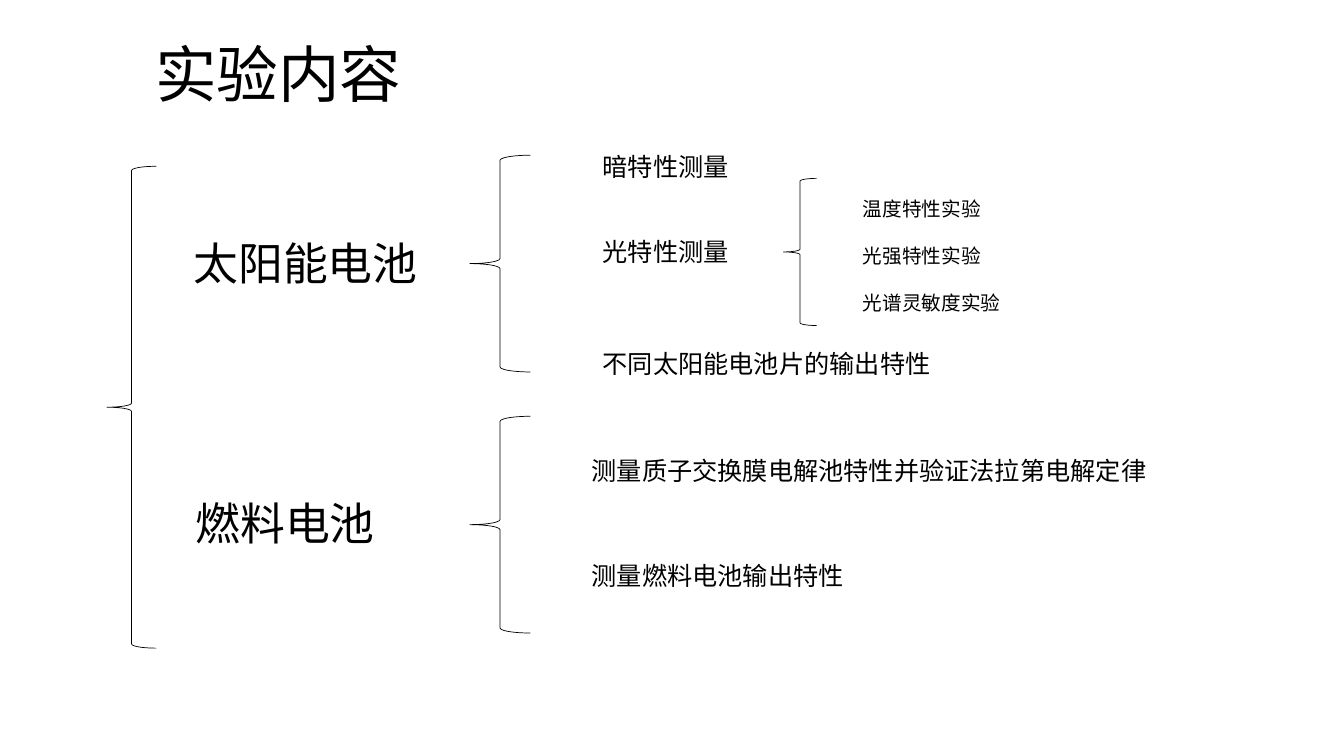
from lxml import etree
from pptx import Presentation
from pptx.dml.color import RGBColor
from pptx.enum.shapes import MSO_SHAPE as Shape
from pptx.enum.text import MSO_ANCHOR as Anchor
from pptx.oxml.ns import qn
from pptx.util import Inches, Pt

BLACK = RGBColor(0, 0, 0)
SANS, SERIF = "Noto Sans CJK SC", "Times New Roman"
TITLE_SIZE, TOPIC_SIZE, TASK_SIZE, DETAIL_SIZE = 44, 32, 18, 14
DETAIL_GAP = 17

TITLE = "实验内容"
# Each topic: name, (left, top), top of its brace, left of its tasks,
# then tasks as (text, top, width, font)
TOPICS = [
    ("太阳能电池", (1.82, 2.29), 1.54, 5.88, [
        ("暗特性测量", 1.45, 2.22, SANS),
        ("光特性测量", 2.3, 2.22, SANS),
        ("不同太阳能电池片的输出特性", 3.41, 3.66, SERIF),
    ]),
    ("燃料电池", (1.84, 4.87), 4.13, 5.77, [
        ("测量质子交换膜电解池特性并验证法拉第电解定律", 4.47, 5.92, SERIF),
        ("测量燃料电池输出特性", 5.51, 5.92, SERIF),
    ]),
]
LIGHT_DETAILS = ["温度特性实验", "光强特性实验", "光谱灵敏度实验"]

prs = Presentation()
prs.slide_width, prs.slide_height = Inches(13.33), Inches(7.5)
slide = prs.slides.add_slide(prs.slide_layouts[6])


def add_text(lines, left, top, width, height, size, font=SANS, gap=0):
    """Add one paragraph per line, with gap points between them."""
    box = slide.shapes.add_textbox(*map(Inches, (left, top, width, height)))
    frame = box.text_frame
    frame.word_wrap = True
    for i, line in enumerate(lines):
        para = frame.paragraphs[0] if i == 0 else frame.add_paragraph()
        para.space_before = Pt(gap if i else 0)
        run = para.add_run()
        run.text = line
        run.font.size = Pt(size)
        run.font.color.rgb = BLACK
        run.font.name = font
        # Chinese glyphs take the East Asian typeface
        east_asian = etree.SubElement(run.font._element, qn("a:ea"))
        east_asian.set("typeface", SANS)
    return frame


def add_brace(left, top, width, height):
    brace = slide.shapes.add_shape(
        Shape.LEFT_BRACE, *map(Inches, (left, top, width, height)))
    brace.shadow.inherit = False
    brace.fill.background()
    brace.line.color.rgb = BLACK
    brace.line.width = Pt(0.5)


title = add_text([TITLE], 1.44, 0.04, 11.5, 1.45, TITLE_SIZE)
title.vertical_anchor = Anchor.MIDDLE
title.paragraphs[0].line_spacing = 0.9

add_brace(1.06, 1.65, 0.49, 4.78)
for topic, (left, top), brace_top, tasks_left, tasks in TOPICS:
    add_text([topic], left, top, 4.17, 0.64, TOPIC_SIZE)
    add_brace(4.66, brace_top, 0.6, 2.15)
    for task, task_top, width, font in tasks:
        add_text([task], tasks_left, task_top, width, 0.4, TASK_SIZE, font)

add_brace(7.77, 1.77, 0.33, 1.46)
add_text(LIGHT_DETAILS, 8.46, 1.9, 4.29, 1.28, DETAIL_SIZE, gap=DETAIL_GAP)

prs.save("out.pptx")
